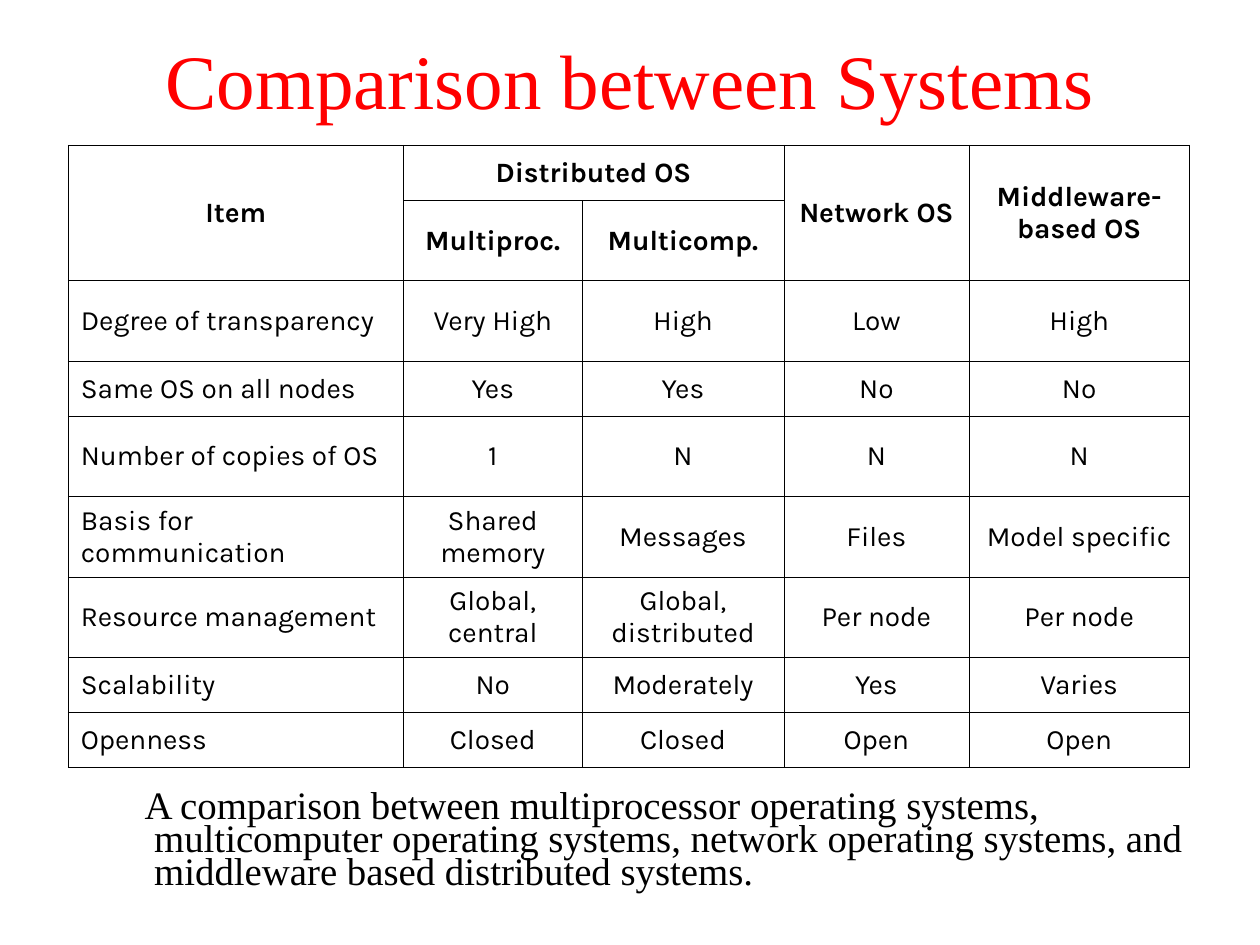
from lxml.etree import SubElement
from pptx import Presentation
from pptx.dml.color import RGBColor
from pptx.enum.text import MSO_ANCHOR as Anchor, MSO_AUTO_SIZE as AutoSize, PP_ALIGN as Align
from pptx.oxml.ns import qn
from pptx.util import Pt

TITLE = "Comparison between Systems"
CAPTION = (
    "A comparison between multiprocessor operating systems, multicomputer operating "
    "systems, network operating systems, and middleware based distributed systems."
)
HEADER_ROWS = [
    ("Item", "Distributed OS", "", "Network OS", "Middleware-based OS"),
    ("", "Multiproc.", "Multicomp.", "", ""),
]
BODY_ROWS = [
    ("Degree of transparency", "Very High", "High", "Low", "High"),
    ("Same OS on all nodes", "Yes", "Yes", "No", "No"),
    ("Number of copies of OS", "1", "N", "N", "N"),
    ("Basis for communication", "Shared memory", "Messages", "Files", "Model specific"),
    ("Resource management", "Global, central", "Global, distributed", "Per node", "Per node"),
    ("Scalability", "No", "Moderately", "Yes", "Varies"),
    ("Openness", "Closed", "Closed", "Open", "Open"),
]
MERGES = [((0, 0), (1, 0)), ((0, 1), (0, 2)), ((0, 3), (1, 3)), ((0, 4), (1, 4))]
COLUMN_WIDTHS = [191.5, 102.2, 115.2, 105.8, 126]
SHORT, TALL = 31.5, 45.9
ROW_HEIGHTS = [SHORT, TALL, TALL, SHORT, TALL, TALL, TALL, SHORT, SHORT]
COLORS = {"title": "FF0000", "text": "000000", "border": "000000", "cell": "FFFFFF"}
OUTER_LINE, INNER_LINE = 0.5, 0.23
TITLE_FONT = {"name": "Times New Roman", "size": Pt(44), "bold": False}
CAPTION_FONT = {"name": "Times New Roman", "size": Pt(22.2)}
CELL_FONT = {"name": "Karla", "size": Pt(16)}


def set_attributes(target, values):
    """Set each named attribute of the target."""
    for name, value in values.items():
        setattr(target, name, value)


def write(frame, text, font, color, **paragraph_format):
    """Write one formatted paragraph into a text frame."""
    paragraph = frame.paragraphs[0]
    run = paragraph.add_run()
    run.text = text
    set_attributes(paragraph, paragraph_format)
    set_attributes(run.font, font)
    run.font.color.rgb = RGBColor.from_string(COLORS[color])
    return paragraph


def place(shape, left, top, width, height):
    """Position a shape with lengths in points."""
    set_attributes(shape, {"left": Pt(left), "top": Pt(top), "width": Pt(width), "height": Pt(height)})


def add_borders(cell, edges):
    """Draw the cell borders, thicker on the outer edges of the table."""
    properties = cell._tc.get_or_add_tcPr()
    for side, is_outer in edges.items():
        width = Pt(OUTER_LINE if is_outer else INNER_LINE)
        line = SubElement(properties, qn(f"a:ln{side}"), w=str(int(width)))
        fill = SubElement(line, qn("a:solidFill"))
        SubElement(fill, qn("a:srgbClr"), val=COLORS["border"])


def add_title(slide):
    """Fill and format the title placeholder."""
    title = slide.shapes.title
    place(title, 0, 0, 720, 90)
    set_attributes(title.text_frame, {"auto_size": AutoSize.NONE, "vertical_anchor": Anchor.MIDDLE})
    write(title.text_frame, TITLE, TITLE_FONT, "title", alignment=Align.CENTER)


def add_comparison(slide):
    """Build the comparison table."""
    rows = HEADER_ROWS + BODY_ROWS
    last_row, last_column = len(rows) - 1, len(COLUMN_WIDTHS) - 1
    frame = slide.shapes.add_table(
        len(rows), len(COLUMN_WIDTHS), Pt(39), Pt(83), Pt(sum(COLUMN_WIDTHS)), Pt(sum(ROW_HEIGHTS))
    )
    table = frame.table
    set_attributes(table, {"first_row": False, "horz_banding": False})
    for column, width in zip(table.columns, COLUMN_WIDTHS):
        column.width = Pt(width)
    for row, height in zip(table.rows, ROW_HEIGHTS):
        row.height = Pt(height)
    for start, end in MERGES:
        table.cell(*start).merge(table.cell(*end))
    for i, row in enumerate(rows):
        is_header = i < len(HEADER_ROWS)
        for j, text in enumerate(row):
            cell = table.cell(i, j)
            cell.vertical_anchor = Anchor.MIDDLE
            add_borders(cell, {"L": j == 0, "R": j == last_column, "T": i == 0, "B": i == last_row})
            cell.fill.solid()
            cell.fill.fore_color.rgb = RGBColor.from_string(COLORS["cell"])
            if text:
                alignment = Align.LEFT if j == 0 and not is_header else Align.CENTER
                font = {**CELL_FONT, "bold": is_header}
                write(cell.text_frame, text, font, "text", alignment=alignment, line_spacing=0.98)


def add_caption(slide):
    """Add the caption with a hanging indent below the table."""
    box = slide.shapes.add_textbox(Pt(54), Pt(450), Pt(630), Pt(66))
    box.text_frame.word_wrap = True
    paragraph = write(
        box.text_frame, CAPTION, CAPTION_FONT, "text", alignment=Align.LEFT, line_spacing=0.7
    )
    properties = paragraph._p.get_or_add_pPr()
    properties.set("marL", str(int(Pt(27))))
    properties.set("indent", str(int(Pt(-5.5))))


def main():
    """Build and save the slide."""
    presentation = Presentation()
    set_attributes(presentation, {"slide_width": Pt(720), "slide_height": Pt(540)})
    slide = presentation.slides.add_slide(presentation.slide_layouts[5])
    add_title(slide)
    add_caption(slide)
    add_comparison(slide)
    presentation.save("out.pptx")


if __name__ == "__main__":
    main()
